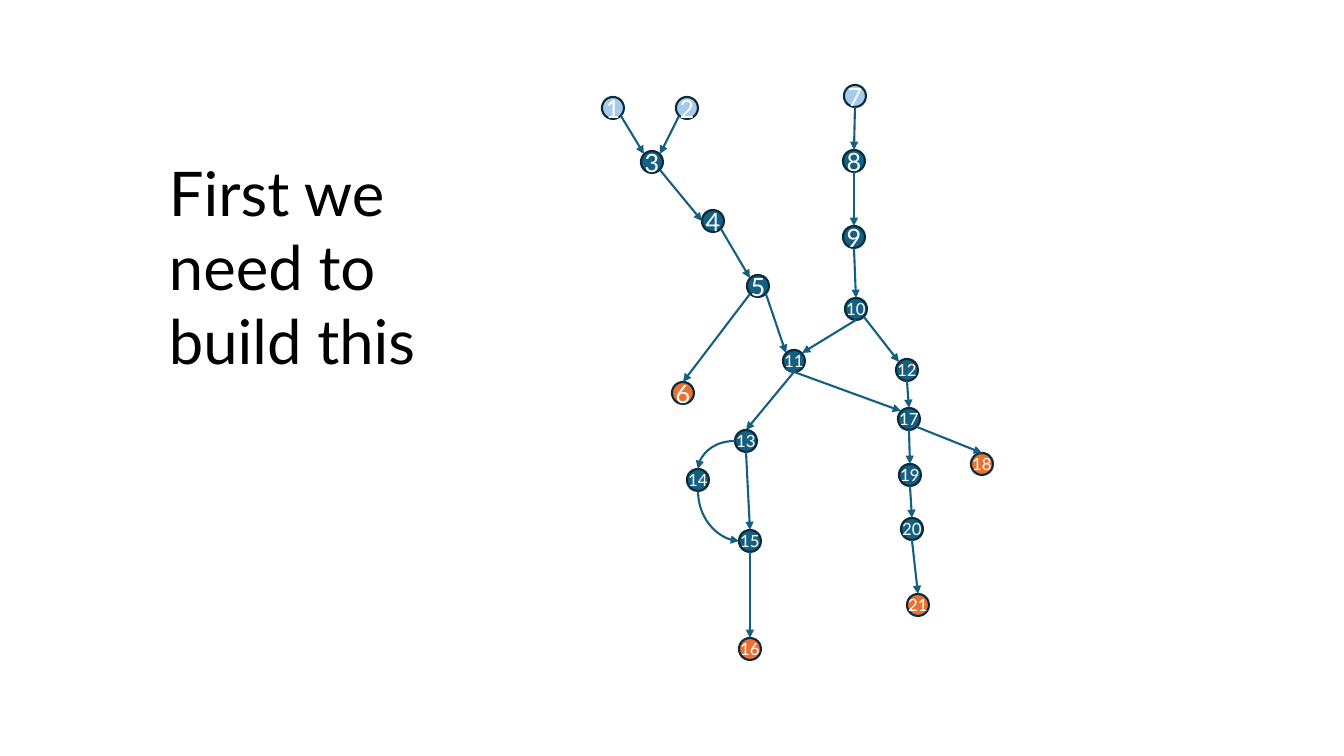
"""Build a slide with a numbered directed graph and a short caption."""
from lxml import etree
from pptx import Presentation
from pptx.dml.color import RGBColor
from pptx.enum.shapes import MSO_CONNECTOR, MSO_SHAPE
from pptx.enum.text import MSO_ANCHOR, MSO_AUTO_SIZE, PP_ALIGN
from pptx.oxml.ns import qn
from pptx.util import Pt

STRAIGHT, CURVE = MSO_CONNECTOR.STRAIGHT, MSO_CONNECTOR.CURVE
OVAL = MSO_SHAPE.OVAL
MIDDLE, CENTER = MSO_ANCHOR.MIDDLE, PP_ALIGN.CENTER
GROW = MSO_AUTO_SIZE.SHAPE_TO_FIT_TEXT

CAPTION = "First we need to build this"
CAPTION_BOX = (159, 150, 369, 234)
FONT = "Lato"
COLORS = {"source": "A6CAEC", "inner": "156082", "sink": "E97132",
          "outline": "092A39", "edge": "156082", "label": "FFFFFF",
          "caption": "000000"}
SOURCES, SINKS = (1, 2, 7), (6, 16, 18, 21)

CENTERS = {
    1: (613, 108), 2: (687, 108), 3: (652, 162), 4: (713, 221),
    5: (758, 286), 6: (683, 393), 7: (855, 96), 8: (854, 161),
    9: (854, 237), 10: (856, 309), 11: (794, 361), 12: (907, 370),
    13: (746, 441), 14: (698, 480), 15: (750, 541), 16: (750, 649),
    17: (909, 419), 18: (982, 464), 19: (910, 475), 20: (912, 529),
    21: (918, 605),
}
EDGES = [
    (1, "SE", 3, "NW"), (2, "SW", 3, "NE"), (3, "SE", 4, "W"),
    (4, "SE", 5, "NW"), (5, "SE", 11, "NW"), (5, "SW", 6, "N"),
    (7, "S", 8, "N"), (8, "S", 9, "N"), (9, "S", 10, "N"),
    (10, "S", 11, "NE"), (10, "SE", 12, "NW"), (11, "S", 13, "N"),
    (11, "SW", 17, "NW"), (12, "S", 17, "N"), (13, "S", 15, "N"),
    (15, "S", 16, "N"), (17, "SE", 18, "N"), (17, "S", 19, "N"),
    (19, "S", 20, "N"), (20, "S", 21, "N"),
]
CURVED_EDGES = [(13, "W", 14, "N"), (14, "S", 15, "W")]

EMU_PER_PX = 12192000 / 1344
RADIUS = 11
DIAGONAL = 8
SITES = {"N": (0, -RADIUS), "S": (0, RADIUS), "W": (-RADIUS, 0),
         "NW": (-DIAGONAL, -DIAGONAL), "NE": (DIAGONAL, -DIAGONAL),
         "SW": (-DIAGONAL, DIAGONAL), "SE": (DIAGONAL, DIAGONAL)}


def px(*lengths):
    return [round(n * EMU_PER_PX) for n in lengths]


def color(name):
    return RGBColor.from_string(COLORS[name])


def add_run(p, text, size, name):
    r = p.add_run()
    r.text = text
    r.font.name, r.font.size = FONT, Pt(size)
    r.font.color.rgb = color(name)


def add_node(s, number):
    x, y = CENTERS[number]
    sp = s.shapes.add_shape(
        OVAL, *px(x - RADIUS, y - RADIUS, 2 * RADIUS, 2 * RADIUS))
    sp.shadow.inherit = False
    kind = ("source" if number in SOURCES
            else "sink" if number in SINKS else "inner")
    sp.fill.solid()
    sp.fill.fore_color.rgb = color(kind)
    sp.line.color.rgb = color("outline")
    sp.line.width = Pt(1.5)
    tf = sp.text_frame
    tf.word_wrap = False
    tf.vertical_anchor = MIDDLE
    p = tf.paragraphs[0]
    p.alignment = CENTER
    add_run(p, str(number), 18 if number < 10 else 12, "label")


def site_point(number, site):
    x, y = CENTERS[number]
    dx, dy = SITES[site]
    return x + dx, y + dy


def add_arrow(s, kind, start, end):
    c = s.shapes.add_connector(kind, *px(*start, *end))
    c.line.color.rgb = color("edge")
    c.line.width = Pt(1.5)
    etree.SubElement(c.line._get_or_add_ln(), qn("a:tailEnd"), type="triangle")
    sp_pr = c._element.spPr
    etree.SubElement(sp_pr, qn("a:effectLst"))
    return sp_pr


def add_curve(s, start, end, leaves_vertically):
    if leaves_vertically:
        (x1, y1), (x2, y2) = start, end
        cx, cy = (x1 + x2) / 2, (y1 + y2) / 2
        dx, dy = (x2 - x1) / 2, (y2 - y1) / 2
        start, end = (cx + dy, cy - dx), (cx - dy, cy + dx)
    sp_pr = add_arrow(s, CURVE, start, end)
    sp_pr.find(qn("a:prstGeom")).set("prst", "curvedConnector2")
    if leaves_vertically:
        sp_pr.find(qn("a:xfrm")).set("rot", str(270 * 60000))


def main():
    prs = Presentation()
    prs.slide_width, prs.slide_height = px(1344, 756)
    s = prs.slides.add_slide(prs.slide_layouts[6])

    for number in CENTERS:
        add_node(s, number)
    for a, leave, b, arrive in EDGES:
        add_arrow(s, STRAIGHT, site_point(a, leave), site_point(b, arrive))
    for a, leave, b, arrive in CURVED_EDGES:
        add_curve(s, site_point(a, leave), site_point(b, arrive), leave == "S")

    tf = s.shapes.add_textbox(*px(*CAPTION_BOX)).text_frame
    tf.word_wrap = True
    tf.auto_size = GROW
    add_run(tf.paragraphs[0], CAPTION, 44, "caption")
    prs.save("out.pptx")


if __name__ == "__main__":
    main()
